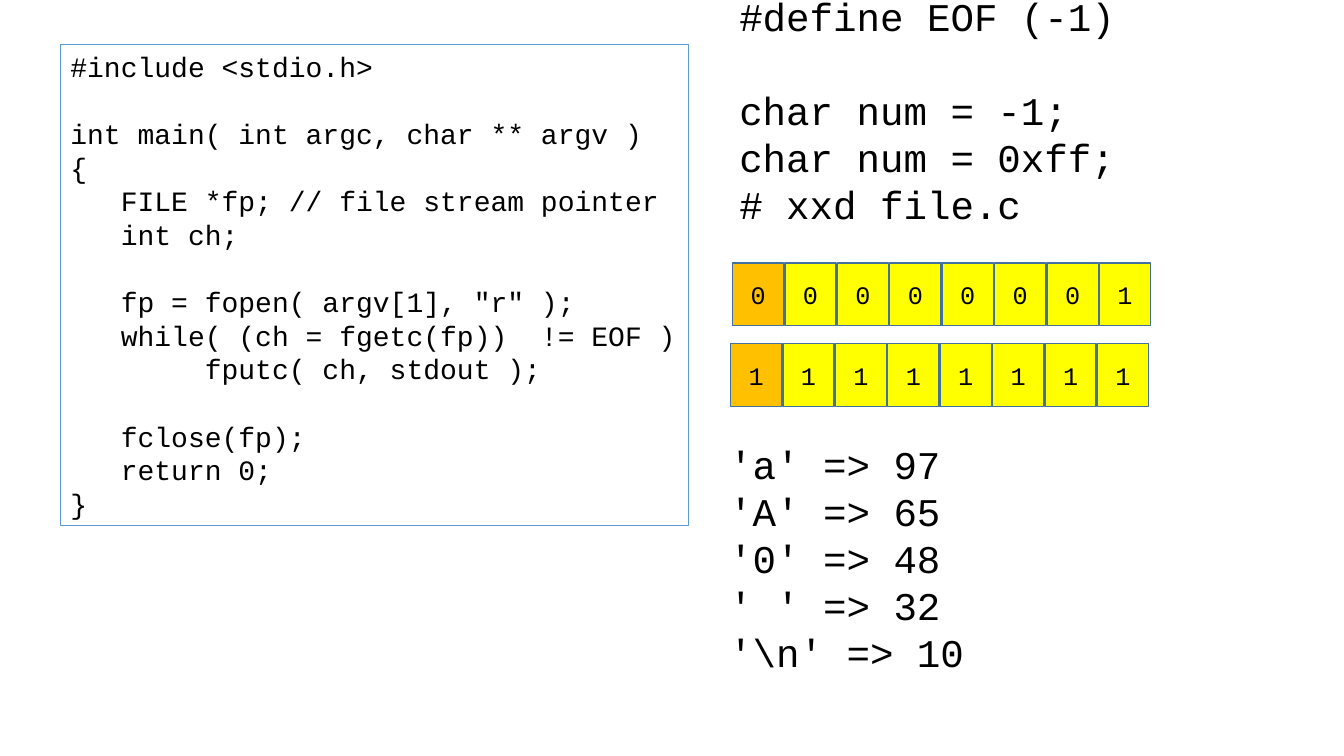
from pptx import Presentation, util as u
from pptx.dml.color import RGBColor
from pptx.enum import shapes, text

PROGRAM = """#include <stdio.h>

int main( int argc, char ** argv )
{
   FILE *fp; // file stream pointer
   int ch;

   fp = fopen( argv[1], "r" );
   while( (ch = fgetc(fp))  != EOF )
        fputc( ch, stdout );

   fclose(fp);
   return 0;
}"""

DEFINITIONS = """#define EOF (-1)

char num = -1;
char num = 0xff;
# xxd file.c"""

CHARACTER_CODES = r"""'a' => 97
'A' => 65
'0' => 48
' ' => 32
'\n' => 10"""


def color(value):
    return RGBColor.from_string(value)


class CodeSlide:
    """Places code and bits; lengths are percentages of the slide's size."""
    FONT, INK = "Courier New", "000000"
    SIGN_FILL, BIT_FILL = "FFC000", "FFFF00"
    BIT_LINE, FRAME_LINE = "41719C", "5B9BD5"
    LINE_HEIGHT = 1.2
    BIT_WIDTH, BIT_HEIGHT, BIT_STEP = 3.82, 8.27, 3.9

    def __init__(self, deck):
        self.deck = deck
        self.page = deck.slides.add_slide(deck.slide_layouts[6])

    def area(self, left, top, width, height):
        across, down = self.deck.slide_width, self.deck.slide_height
        return [int(share * side / 100) for share, side in
                ((left, across), (top, down), (width, across), (height, down))]

    def style(self, para, size):
        para.font.name = self.FONT
        para.font.size = u.Pt(size)
        para.font.color.rgb = color(self.INK)

    def code(self, source, place, size, framed=False):
        """Writes one paragraph per code line; an empty line becomes space before."""
        box = self.page.shapes.add_textbox(*self.area(*place))
        if framed:
            box.line.color.rgb = color(self.FRAME_LINE)
            box.line.width = u.Pt(0.75)
        frame = box.text_frame
        frame.word_wrap = False
        frame.auto_size = text.MSO_AUTO_SIZE.SHAPE_TO_FIT_TEXT
        lines = source.split("\n")
        for number, line in enumerate(lines):
            if not line:
                continue
            para = frame.add_paragraph() if number else frame.paragraphs[0]
            para.text = line
            self.style(para, size)
            if number and not lines[number - 1]:
                para.space_before = u.Pt(size * self.LINE_HEIGHT)

    def byte(self, bits, left, top):
        for position, bit in enumerate(bits):
            cell = self.page.shapes.add_shape(
                shapes.MSO_SHAPE.RECTANGLE,
                *self.area(left + position * self.BIT_STEP, top,
                           self.BIT_WIDTH, self.BIT_HEIGHT))
            cell.shadow.inherit = False
            cell.fill.solid()
            cell.fill.fore_color.rgb = color(
                self.BIT_FILL if position else self.SIGN_FILL)
            cell.line.color.rgb = color(self.BIT_LINE)
            cell.line.width = u.Pt(1)
            cell.text_frame.vertical_anchor = text.MSO_ANCHOR.MIDDLE
            para = cell.text_frame.paragraphs[0]
            para.text = bit
            para.alignment = text.PP_ALIGN.CENTER
            self.style(para, 18)


def main():
    deck = Presentation()
    deck.slide_width, deck.slide_height = u.Inches(13.34), u.Inches(7.5)
    slide = CodeSlide(deck)
    slide.code(PROGRAM, (4.5, 5.87, 46.7, 63.6), 20, framed=True)
    slide.code(DEFINITIONS, (54.27, -1.73, 29.54, 38.67), 28)
    slide.byte("00000001", 54.5, 34.8)
    slide.byte("11111111", 54.35, 45.47)
    slide.code(CHARACTER_CODES, (53.52, 57.6, 19.04, 32.53), 28)
    deck.save("out.pptx")


if __name__ == "__main__":
    main()
